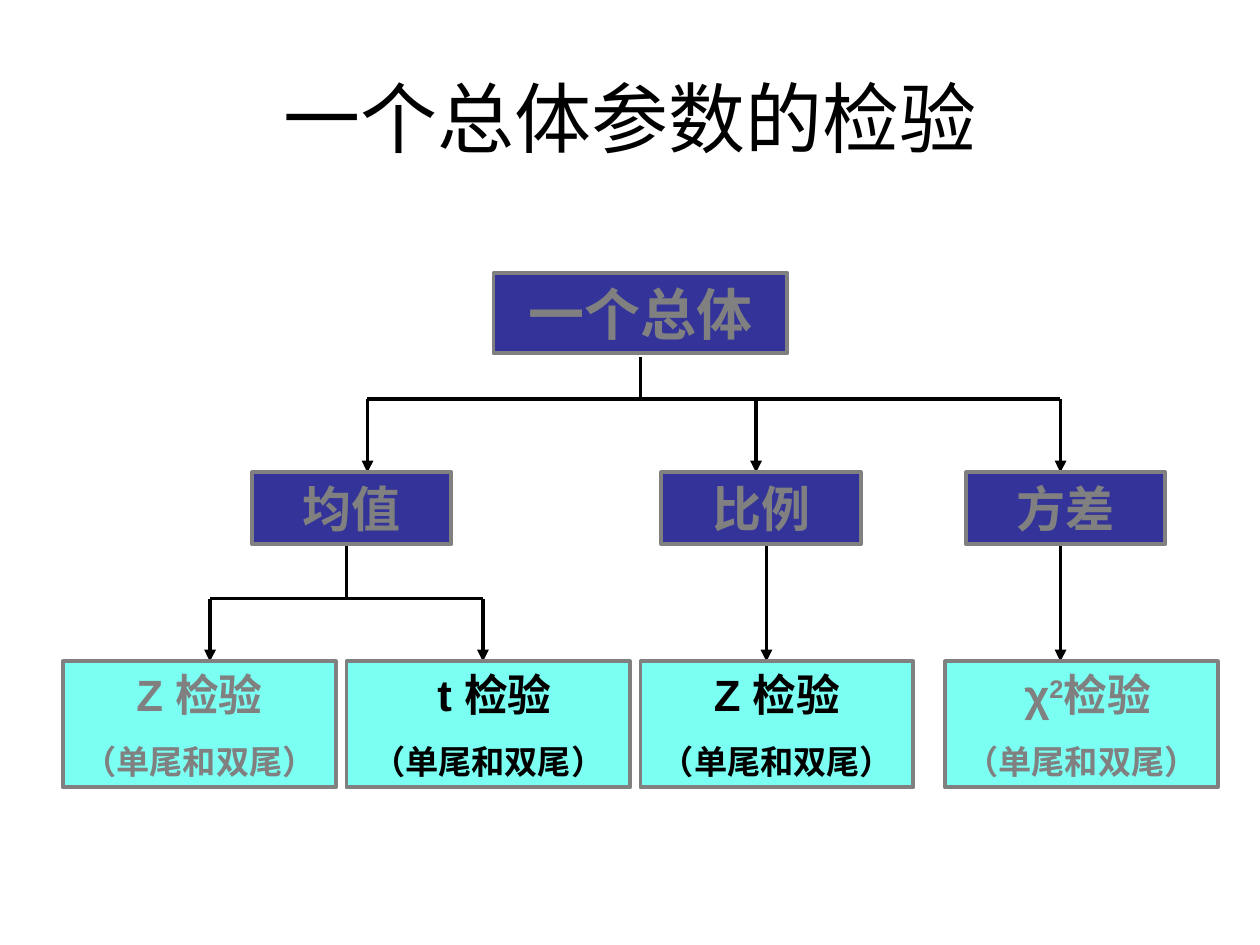
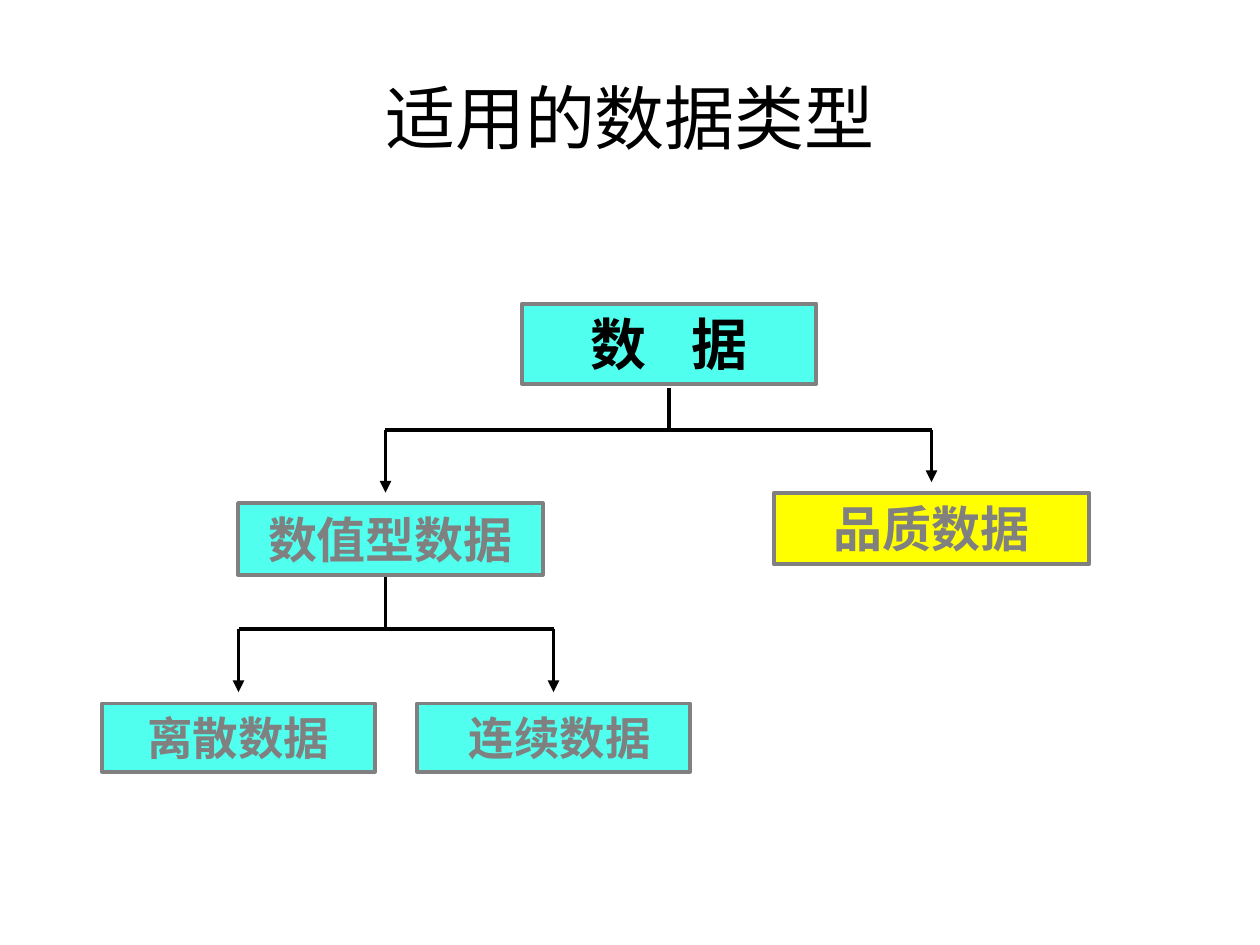
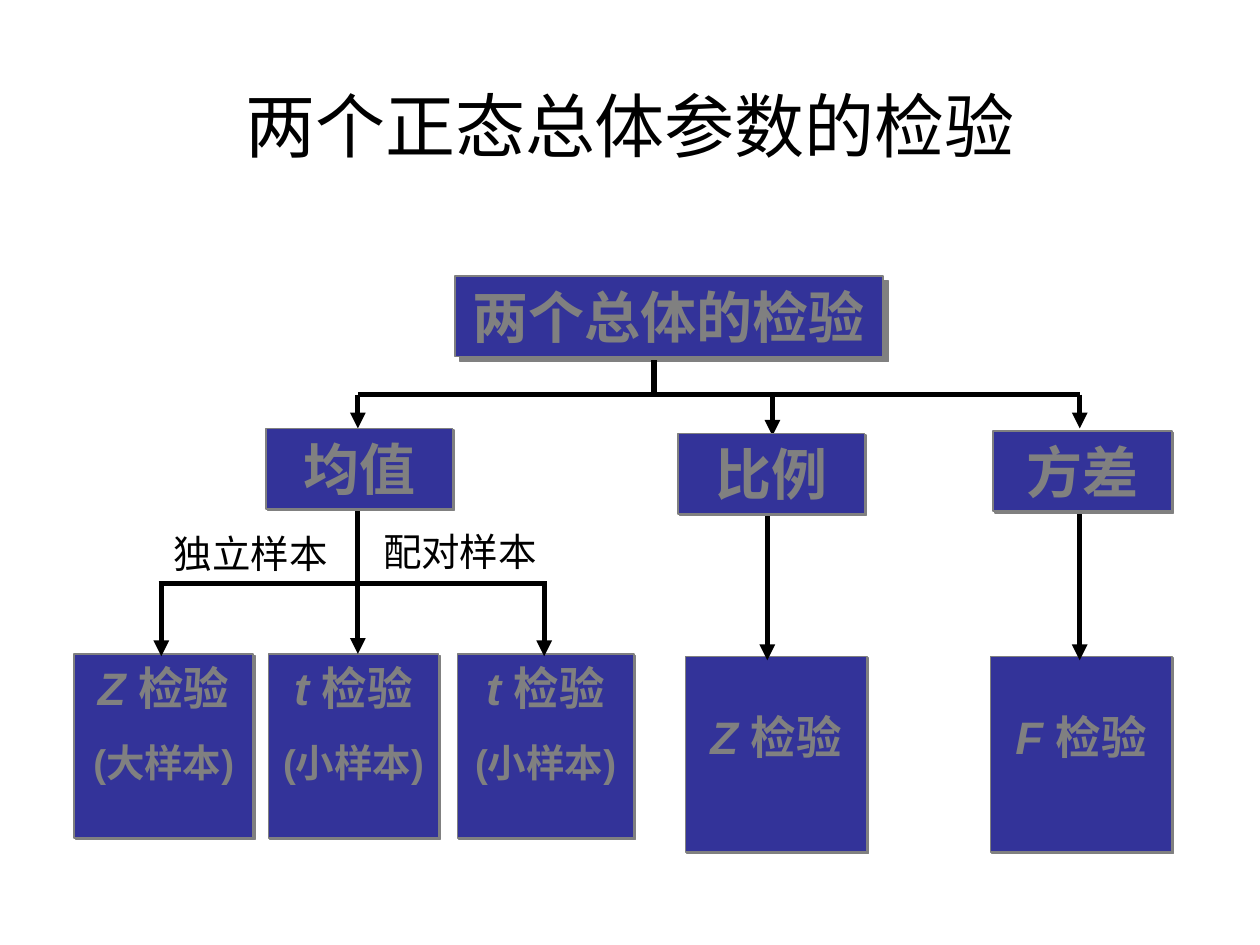
"""Build three slides of tree diagrams about choosing a hypothesis test."""
from dataclasses import dataclass

from lxml.etree import SubElement
from pptx import Presentation
from pptx.dml.color import RGBColor
from pptx.enum.shapes import MSO_CONNECTOR as Connector, MSO_SHAPE as Preset
from pptx.enum.text import MSO_ANCHOR as Anchor, PP_ALIGN as Align
from pptx.oxml.ns import qn
from pptx.slide import Slide
from pptx.text.text import TextFrame
from pptx.util import Pt

FONT = "Arial"
BLACK = RGBColor(0x00, 0x00, 0x00)
GRAY = RGBColor(0x80, 0x80, 0x80)
INDIGO = RGBColor(0x33, 0x33, 0x99)
AQUA = RGBColor(0x7B, 0xFF, 0xF2)
TURQUOISE = RGBColor(0x51, 0xFF, 0xEE)
YELLOW = RGBColor(0xFF, 0xFF, 0x00)
INSET = 3.6


@dataclass(frozen=True)
class Span:
    text: str
    italic: bool = False
    raised: bool = False
    tracking: float = 0


@dataclass(frozen=True)
class Para:
    spans: tuple[Span, ...]
    size: float
    before: float = 0
    indent: float = 0


@dataclass(frozen=True)
class Box:
    left: float
    top: float
    width: float
    height: float
    paras: tuple[Para, ...]
    fill: RGBColor | None = None
    ink: RGBColor = GRAY
    border: float = 2.25
    shadow: float = 0
    inset_top: float = INSET


@dataclass(frozen=True)
class Drop:
    x: float
    bottom: float


@dataclass(frozen=True)
class Fork:
    stem_x: float
    stem_top: float
    bar_y: float
    drops: tuple[Drop, ...]
    overhang: float = 0


@dataclass(frozen=True)
class Page:
    title: Box
    under: tuple[Box, ...]
    forks: tuple[Fork, ...]
    over: tuple[Box, ...]
    line_width: float


def plain(text: str, size: float, before: float = 0, indent: float = 0) -> Para:
    """Return a paragraph of one upright span."""
    return Para((Span(text),), size, before, indent)


def heading(text: str, size: float, left: float = 36, top: float = 21.6) -> Box:
    """Return a title centred across the slide."""
    return Box(left, top, 720 - 2 * left, 90, (plain(text, size),), ink=BLACK)


def tailed_test(left: float, width: float, name: Para, ink: RGBColor) -> Box:
    """Return a leaf naming a one- or two-tailed test."""
    return Box(left, 378, width, 72, (name, plain("（单尾和双尾）", 19, 11.9)), AQUA, ink)


def parameter(left: float, name: str) -> Box:
    """Return a parameter of the single population."""
    return Box(left, 270, 114, 41, (plain(name, 28),), INDIGO)


def data_kind(left: float, top: float, width: float, para: Para,
              fill: RGBColor = TURQUOISE, ink: RGBColor = GRAY) -> Box:
    """Return a kind of data, as tall as its text size needs."""
    heights = {26: 39, 28: 41, 32: 46}
    return Box(left, top, width, heights[para.size], (para,), fill, ink)


def pair_node(left: float, top: float, width: float, name: str, shadow: float = 1.4) -> Box:
    """Return an upper node of the two-population tree."""
    return Box(left, top, width, 46, (plain(name, 32),), INDIGO, border=1, shadow=shadow)


def statistic(symbol: str) -> Para:
    """Return the name of a test with its symbol in italics."""
    return Para((Span(f"{symbol} ", italic=True), Span("检验")), 26)


def sample_test(left: float, width: float, symbol: str, sample: str) -> Box:
    """Return a test of means with its sample size."""
    paras = (statistic(symbol), plain(f"({sample})", 22, 13.8))
    return Box(left, 373.7, width, 105.1, paras, INDIGO, border=1, shadow=1.4)


def tall_test(left: float, symbol: str) -> Box:
    """Return a test of proportions or variances."""
    return Box(left, 375.1, 103.7, 111.6, (statistic(symbol),), INDIGO,
               border=1, shadow=1.4, inset_top=30)


def sample_label(left: float, top: float, text: str) -> Box:
    """Return a label above a branch."""
    return Box(left, top, 110.9, 33.8, (plain(text, 22),), ink=BLACK)


def write_paras(frame: TextFrame, box: Box, bold: bool) -> None:
    """Fill a text frame with the paragraphs of a box."""
    frame.word_wrap = True
    frame.margin_left = frame.margin_right = Pt(7.2)
    frame.margin_top, frame.margin_bottom = Pt(box.inset_top), Pt(INSET)
    for index, item in enumerate(box.paras):
        para = frame.add_paragraph() if index else frame.paragraphs[0]
        para.alignment = Align.CENTER
        para.space_before = Pt(item.before)
        if item.indent:
            para._p.get_or_add_pPr().set("marL", str(Pt(item.indent)))
        for span in item.spans:
            run = para.add_run()
            run.text = span.text
            font = run.font
            font.name, font.size = FONT, Pt(item.size)
            font.bold, font.italic = bold, span.italic
            font.color.rgb = box.ink
            properties = run._r.get_or_add_rPr()
            if span.raised:
                properties.set("baseline", "30000")
            if span.tracking:
                properties.set("spc", str(round(span.tracking * 100)))


def draw_box(slide: Slide, box: Box, anchor: Anchor = Anchor.TOP) -> None:
    """Draw a filled box, or bare text when there is no fill."""
    place = Pt(box.left), Pt(box.top), Pt(box.width), Pt(box.height)
    if box.fill is None:
        shape = slide.shapes.add_textbox(*place)
    else:
        shape = slide.shapes.add_shape(Preset.RECTANGLE, *place)
        shape.fill.solid()
        shape.fill.fore_color.rgb = box.fill
        shape.line.color.rgb = GRAY
        shape.line.width = Pt(box.border)
        shape.shadow.inherit = False
        if box.shadow:
            effects = shape.element.spPr.find(qn("a:effectLst"))
            outer = SubElement(effects, qn("a:outerShdw"), dist=str(Pt(box.shadow)),
                               dir="2700000", algn="ctr", rotWithShape="0")
            SubElement(outer, qn("a:srgbClr"), val=str(GRAY))
    shape.text_frame.vertical_anchor = anchor
    write_paras(shape.text_frame, box, bold=box.fill is not None)


def draw_line(slide: Slide, start: tuple[float, float], end: tuple[float, float],
              width: float, arrow: bool = False) -> None:
    """Draw a straight black line, with an arrowhead at its end if asked."""
    points = (Pt(value) for value in (*start, *end))
    line = slide.shapes.add_connector(Connector.STRAIGHT, *points)
    line.line.color.rgb = BLACK
    line.line.width = Pt(width)
    properties = line.element.spPr
    if arrow:
        SubElement(properties.find(qn("a:ln")), qn("a:tailEnd"), type="triangle")
    SubElement(properties, qn("a:effectLst"))


def draw_fork(slide: Slide, fork: Fork, width: float) -> None:
    """Draw a bar, its stem and its arrows; a drop under the stem joins it."""
    columns = [drop.x for drop in fork.drops]
    if len(columns) > 1:
        draw_line(slide, (min(columns) - fork.overhang, fork.bar_y),
                  (max(columns) + fork.overhang, fork.bar_y), width)
    if fork.stem_x not in columns:
        draw_line(slide, (fork.stem_x, fork.stem_top), (fork.stem_x, fork.bar_y), width)
    for drop in fork.drops:
        top = fork.stem_top if drop.x == fork.stem_x else fork.bar_y
        draw_line(slide, (drop.x, top), (drop.x, drop.bottom), width, arrow=True)


def draw_page(slide: Slide, page: Page) -> None:
    """Draw the title and the tree of a page from back to front."""
    draw_box(slide, page.title, Anchor.MIDDLE)
    for box in page.under:
        draw_box(slide, box)
    for fork in page.forks:
        draw_fork(slide, fork, page.line_width)
    for box in page.over:
        draw_box(slide, box)


ONE_POPULATION = Page(
    title=heading("一个总体参数的检验", 44),
    under=(),
    forks=(
        Fork(366, 204, 228, (Drop(210, 270), Drop(432, 270), Drop(606, 270))),
        Fork(198, 312, 342, (Drop(120, 378), Drop(276, 378))),
        Fork(438, 312, 312, (Drop(438, 378),)),
        Fork(606, 312, 312, (Drop(606, 378),)),
    ),
    over=(
        tailed_test(36, 156, plain("Z 检验", 25), GRAY),
        tailed_test(198, 162, plain("t 检验", 25, indent=7), BLACK),
        tailed_test(366, 156, plain("Z 检验", 25), BLACK),
        tailed_test(540, 156, Para((Span("χ"), Span("2", raised=True), Span("检验")),
                                   25, indent=7), GRAY),
        parameter(144, "均值"),
        Box(282, 156, 168, 46, (plain("一个总体", 32),), INDIGO),
        parameter(378, "比例"),
        parameter(552, "方差"),
    ),
    line_width=2.25,
)

DATA_TYPES = Page(
    title=heading("适用的数据类型", 40),
    under=(
        data_kind(58.3, 402, 156, plain("离散数据", 26)),
        data_kind(238.3, 402, 156, plain("连续数据", 26, indent=7)),
        data_kind(136.1, 287.5, 174, plain("数值型数据", 28)),
        data_kind(298.3, 173.5, 168, Para((Span("数 ", tracking=9), Span("据")), 32), ink=BLACK),
        data_kind(442.3, 281.5, 180, plain("品质数据", 28), YELLOW),
    ),
    forks=(
        Fork(382.3, 221.5, 245.5, (Drop(220.3, 281.5), Drop(532.3, 275.5))),
        Fork(220.3, 329.5, 359.5, (Drop(136.3, 395.5), Drop(316.3, 395.5))),
    ),
    over=(),
    line_width=2.25,
)

TWO_POPULATIONS = Page(
    title=heading("两个正态总体参数的检验", 40, 54, 26),
    under=(
        pair_node(260, 157.7, 244.8, "两个总体的检验", 4.2),
        sample_test(42.5, 102.2, "Z", "大样本"),
        sample_test(153.4, 97.2, "t", "小样本"),
        sample_test(261.4, 100.8, "t", "小样本"),
        tall_test(391.7, "Z"),
        tall_test(566, "F"),
    ),
    forks=(
        Fork(373.7, 206, 225.5, (Drop(204.5, 244.8), Drop(441.4, 249), Drop(617, 244.8))),
        Fork(204.5, 286.6, 333.4, (Drop(92.2, 375), Drop(204.5, 373.7), Drop(311, 375)), 1.5),
        Fork(438.5, 292.3, 292.3, (Drop(438.5, 377.3),)),
        Fork(617, 291, 291, (Drop(617, 377.3),)),
    ),
    over=(
        sample_label(87.8, 299.5, "独立样本"),
        sample_label(207.4, 298, "配对样本"),
        pair_node(152, 244.8, 106.6, "均值"),
        pair_node(387.4, 247.7, 106.6, "比例"),
        pair_node(567.4, 246.2, 102.2, "方差"),
    ),
    line_width=3,
)


def main() -> None:
    """Build and save the deck."""
    deck = Presentation()
    deck.slide_width, deck.slide_height = Pt(720), Pt(540)
    for page in (ONE_POPULATION, DATA_TYPES, TWO_POPULATIONS):
        draw_page(deck.slides.add_slide(deck.slide_layouts[6]), page)
    deck.save("out.pptx")


if __name__ == "__main__":
    main()
